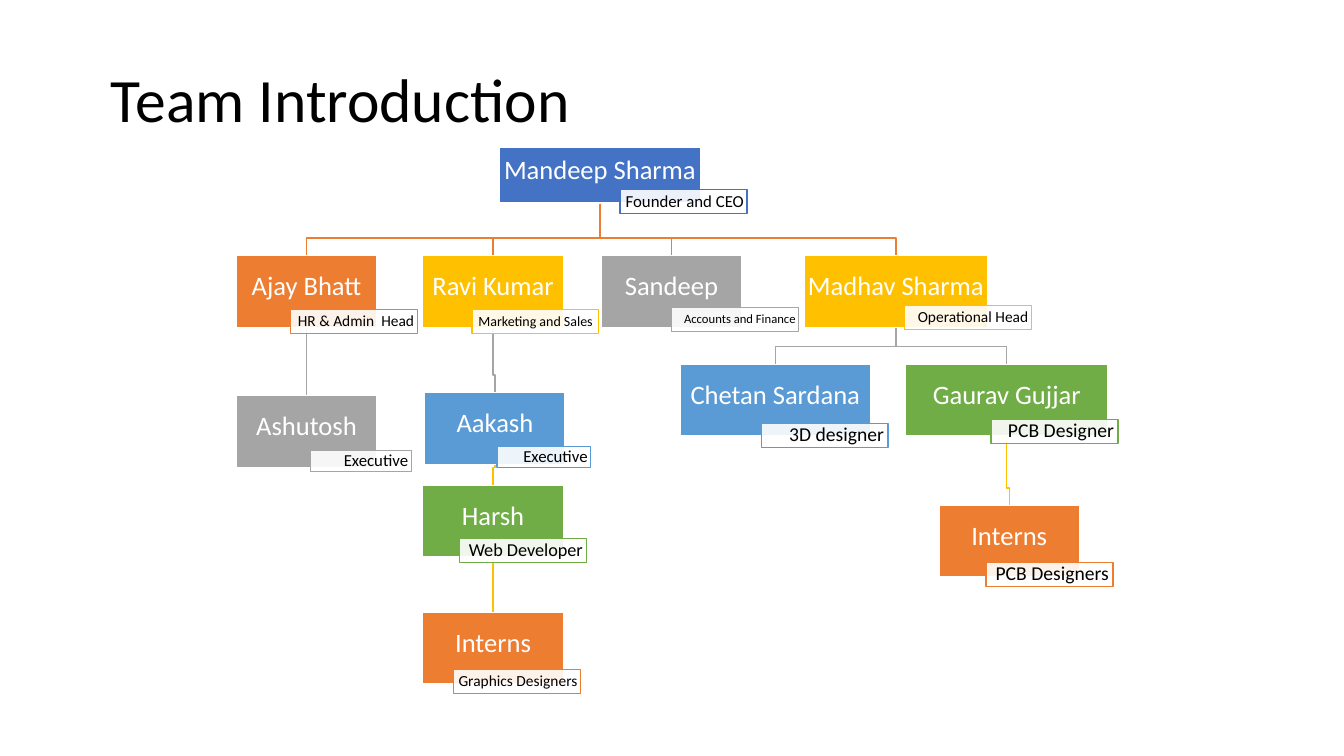
"""Build the team introduction slide with its organisation chart."""
import lxml.etree
import pptx
import pptx.dml.color
import pptx.enum.shapes
import pptx.enum.text
import pptx.oxml.ns
import pptx.util

Inches, Pt = pptx.util.Inches, pptx.util.Pt
RGBColor = pptx.dml.color.RGBColor
PP_ALIGN = pptx.enum.text.PP_ALIGN
qn = pptx.oxml.ns.qn

BLUE = RGBColor(0x44, 0x72, 0xC4)
ORANGE = RGBColor(0xED, 0x7D, 0x31)
GRAY = RGBColor(0xA5, 0xA5, 0xA5)
GOLD = RGBColor(0xFF, 0xC0, 0x00)
SKY = RGBColor(0x5B, 0x9B, 0xD5)
GREEN = RGBColor(0x70, 0xAD, 0x47)
WHITE = RGBColor(0xFF, 0xFF, 0xFF)
BLACK = RGBColor(0x00, 0x00, 0x00)

FONT = "Calibri"
TITLE = "Team Introduction"
BOX_H, BEND = 0.72, 0.17
BOX_W = 1.4
ROLE_SIZE = (1.26, 0.24)

# key: name, colour, (left, top, width, height), role, role size, role position, role box size
TEAM = {
    "ceo": ("Mandeep Sharma", BLUE, (4.95, 1.46, 2, 0.56), "Founder and CEO", 12, (6.15, 1.88), ROLE_SIZE),
    "hr": ("Ajay Bhatt", ORANGE, (2.34, 2.53, BOX_W, BOX_H), "HR & Admin  Head", 11, (2.88, 3.07), ROLE_SIZE),
    "hr exec": ("Ashutosh", GRAY, (2.34, 3.92, BOX_W, BOX_H), "Executive", 12, (3.08, 4.47), (1, 0.21)),
    "sales": ("Ravi Kumar", GOLD, (4.19, 2.53, BOX_W, BOX_H), "Marketing and Sales ", 10, (4.68, 3.07), ROLE_SIZE),
    "sales exec": ("Aakash", SKY, (4.21, 3.89, BOX_W, BOX_H), "Executive", 12, (4.93, 4.43), (0.93, 0.21)),
    "web": ("Harsh", GREEN, (4.19, 4.81, BOX_W, BOX_H), "Web Developer", 13, (4.56, 5.34), ROLE_SIZE),
    "graphics": ("Interns", ORANGE, (4.19, 6.07, BOX_W, BOX_H), "Graphics Designers", 11, (4.5, 6.64), ROLE_SIZE),
    "accounts": ("Sandeep", GRAY, (5.96, 2.53, BOX_W, BOX_H), "Accounts and Finance", 9, (6.66, 3.05), ROLE_SIZE),
    "operations": ("Madhav Sharma", GOLD, (7.97, 2.53, 1.83, BOX_H), "Operational Head", 11, (8.97, 3.03), ROLE_SIZE),
    "3d": ("Chetan Sardana", SKY, (6.74, 3.61, 1.9, BOX_H), "3D designer", 14, (7.55, 4.2), ROLE_SIZE),
    "pcb": ("Gaurav Gujjar", GREEN, (8.98, 3.61, 2.01, BOX_H), "PCB Designer", 14, (9.83, 4.16), ROLE_SIZE),
    "pcb interns": ("Interns", ORANGE, (9.31, 5.01, BOX_W, BOX_H), "PCB Designers", 14, (9.78, 5.58), ROLE_SIZE),
}
REPORTS = [
    ("pcb", "pcb interns", GOLD),
    ("operations", "pcb", GRAY),
    ("operations", "3d", GRAY),
    ("ceo", "operations", ORANGE),
    ("ceo", "accounts", ORANGE),
    ("web", "graphics", GOLD),
    ("sales exec", "web", GOLD),
    ("sales", "sales exec", GRAY),
    ("ceo", "sales", ORANGE),
    ("hr", "hr exec", GRAY),
    ("ceo", "hr", ORANGE),
]


def add_box(s, place, text, size, fill, line, line_w, color, align, insets):
    sp = s.shapes.add_shape(pptx.enum.shapes.MSO_SHAPE.RECTANGLE, *map(Inches, place))
    sp.shadow.inherit = False
    sp.fill.solid()
    sp.fill.fore_color.rgb = fill
    sp.line.color.rgb = line
    sp.line.width = Pt(line_w)
    tf = sp.text_frame
    tf.word_wrap = True
    tf.vertical_anchor = pptx.enum.text.MSO_ANCHOR.MIDDLE
    tf.margin_left, tf.margin_top, tf.margin_right, tf.margin_bottom = map(Inches, insets)
    set_text(tf.paragraphs[0], text, size, color, align)
    return sp


def set_text(p, text, size, color, align):
    p.text = text
    p.alignment = align
    p.line_spacing = 0.9
    p.font.name = FONT
    p.font.size = Pt(size)
    p.font.color.rgb = color


def add_report_line(s, boss, member, color):
    x1, y1 = boss.left + boss.width // 2, boss.top + boss.height
    x2, y2 = member.left + member.width // 2, member.top
    if x1 == x2:
        sp = s.shapes.add_connector(pptx.enum.shapes.MSO_CONNECTOR.STRAIGHT, x1, y1, x2, y2)
        sp.begin_connect(boss, 2)
        sp.end_connect(member, 0)
    else:
        bend = y2 - Inches(BEND)
        fb = s.shapes.build_freeform(x1, y1)
        fb.add_line_segments([(x1, bend), (x2, bend), (x2, y2)], close=False)
        sp = fb.convert_to_shape()
        sp.fill.background()
    sp.line.color.rgb = color
    sp.line.width = Pt(1)
    props = sp._element.spPr
    if props.find(qn("a:effectLst")) is None:
        lxml.etree.SubElement(props, qn("a:effectLst"))


def main():
    prs = pptx.Presentation()
    prs.slide_width, prs.slide_height = Inches(13.33), Inches(7.5)
    s = prs.slides.add_slide(prs.slide_layouts[5])

    title = s.shapes.title
    title.left, title.top, title.width, title.height = map(Inches, (1, 0.39, 6.83, 1.25))
    title.text_frame.vertical_anchor = pptx.enum.text.MSO_ANCHOR.MIDDLE
    set_text(title.text_frame.paragraphs[0], TITLE, 44, BLACK, PP_ALIGN.LEFT)

    boxes = {}
    for key, (name, color, place, *_) in TEAM.items():
        boxes[key] = add_box(s, place, name, 19, color, WHITE, 1.5, WHITE,
                             PP_ALIGN.CENTER, (0.01, 0.01, 0.01, 0.1))

    for boss, member, color in REPORTS:
        add_report_line(s, boxes[boss], boxes[member], color)

    for _, color, _, role, size, corner, extent in TEAM.values():
        side = 0.04 if size > 12 else 0.03
        sp = add_box(s, corner + extent, role, size, WHITE, color, 1, BLACK,
                     PP_ALIGN.RIGHT, (side, 0.01, side, 0.01))
        fill_color = sp._element.spPr.find(qn("a:solidFill"))[0]
        lxml.etree.SubElement(fill_color, qn("a:alpha"), val="90000")

    prs.save("out.pptx")


if __name__ == "__main__":
    main()
